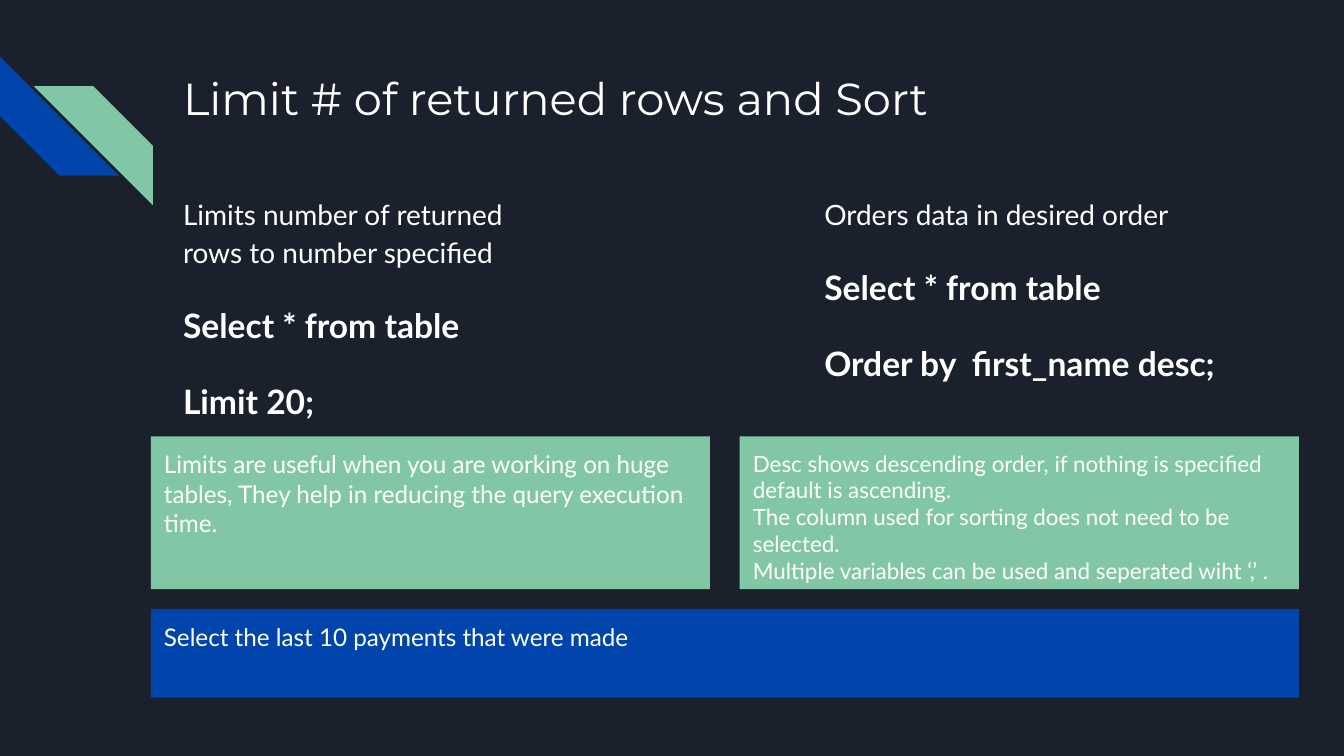
from pptx import Presentation
from pptx.dml.color import RGBColor as Rgb
from pptx.enum.shapes import MSO_SHAPE as Kind
from pptx.enum.text import MSO_ANCHOR as Anchor, PP_ALIGN as Align
from pptx.util import Cm, Pt

COLORS = {"back": "1B212C", "blue": "0145AC", "green": "82C7A5", "text": "FFFFFF"}
PAD = 0.25


def paint(fill, color):
    fill.solid()
    fill.fore_color.rgb = Rgb.from_string(COLORS[color])


def write(shape, lines, size, font="Lato"):
    """Fill the shape with one paragraph per line, all in one style."""
    frame = shape.text_frame
    frame.word_wrap = True
    frame.vertical_anchor = Anchor.TOP
    frame.margin_left = frame.margin_right = Cm(PAD)
    frame.margin_top = frame.margin_bottom = Cm(PAD)
    frame.text = "\n".join(lines)
    for para in frame.paragraphs:
        para.alignment = Align.LEFT
        for run in para.runs:
            run.font.name = font
            run.font.size = Pt(size)
            run.font.color.rgb = Rgb.from_string(COLORS["text"])
    return frame


def add_text(slide, box, lines, size, font="Lato"):
    shape = slide.shapes.add_textbox(*map(Cm, box))
    return write(shape, lines, size, font)


def add_shape(slide, kind, box, color):
    shape = slide.shapes.add_shape(kind, *map(Cm, box))
    shape.shadow.inherit = False
    paint(shape.fill, color)
    shape.line.fill.background()
    return shape


def add_stripe(slide, left, top, color, turn):
    side = 2.25
    shape = add_shape(slide, Kind.DIAGONAL_STRIPE, (left, top, side, side), color)
    shape.rotation = turn


def add_panel(slide, box, color, lines, size):
    write(add_shape(slide, Kind.RECTANGLE, box, color), lines, size)


def add_query(slide, left, width, intro, code):
    """Place an intro line with bold lines of SQL below it."""
    frame = add_text(slide, (left, 3.38, width, 5.33), [intro, *code], 15)
    for para in frame.paragraphs:
        para.line_spacing = 1.15
    for para in frame.paragraphs[1:]:
        para.space_before = Pt(16)
        for run in para.runs:
            run.font.size = Pt(18)
            run.font.bold = True


def main():
    deck = Presentation()
    deck.slide_width, deck.slide_height = Cm(25.4), Cm(14.29)
    slide = deck.slides.add_slide(deck.slide_layouts[6])
    paint(slide.background.fill, "back")

    add_stripe(slide, 0, 1.07, "blue", 270)
    add_stripe(slide, 0.64, 1.63, "green", 90)
    add_text(slide, (3.21, 1.09, 19.56, 2.54),
             ["Limit # of returned rows and Sort"], 24, "Montserrat")

    add_query(slide, 3.21, 7.7, "Limits number of returned rows to number specified",
              ["Select * from table", "Limit 20;"])
    add_query(slide, 15.33, 8.33, "Orders data in desired order",
              ["Select * from table", "Order by  first_name desc;"])

    left, width, gap = 2.85, 10.57, 0.56
    top, height = 8.25, 2.89
    add_panel(slide, (left, top, width, height), "green",
              ["Limits are useful when you are working on huge tables, "
               "They help in reducing the query execution time."], 13)
    add_panel(slide, (left + width + gap, top, width, height), "green",
              ["Desc shows descending order, if nothing is specified "
               "default is ascending.",
               "The column used for sorting does not need to be selected.",
               "Multiple variables can be used and seperated wiht ‘,’ ."], 12)
    add_panel(slide, (left, 11.51, 2 * width + gap, 1.68), "blue",
              ["Select the last 10 payments that were made"], 13)

    deck.save("out.pptx")


if __name__ == "__main__":
    main()
